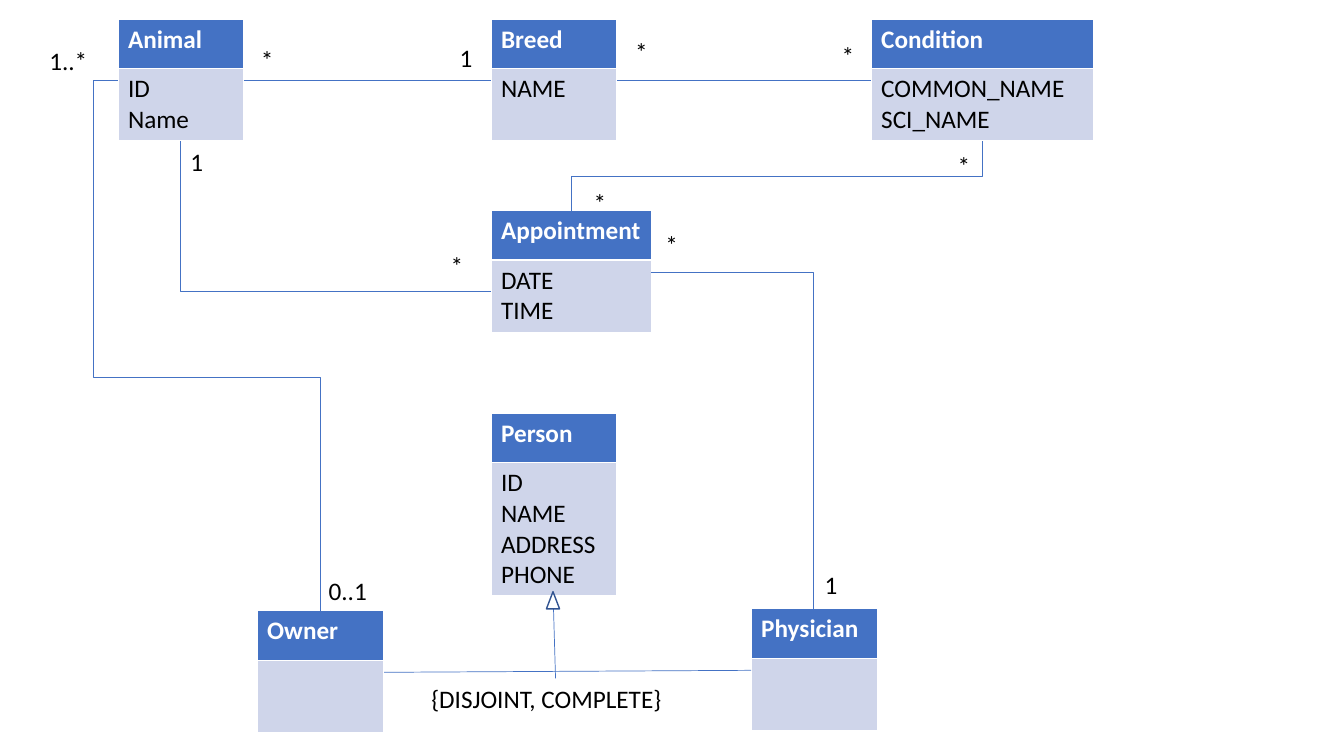
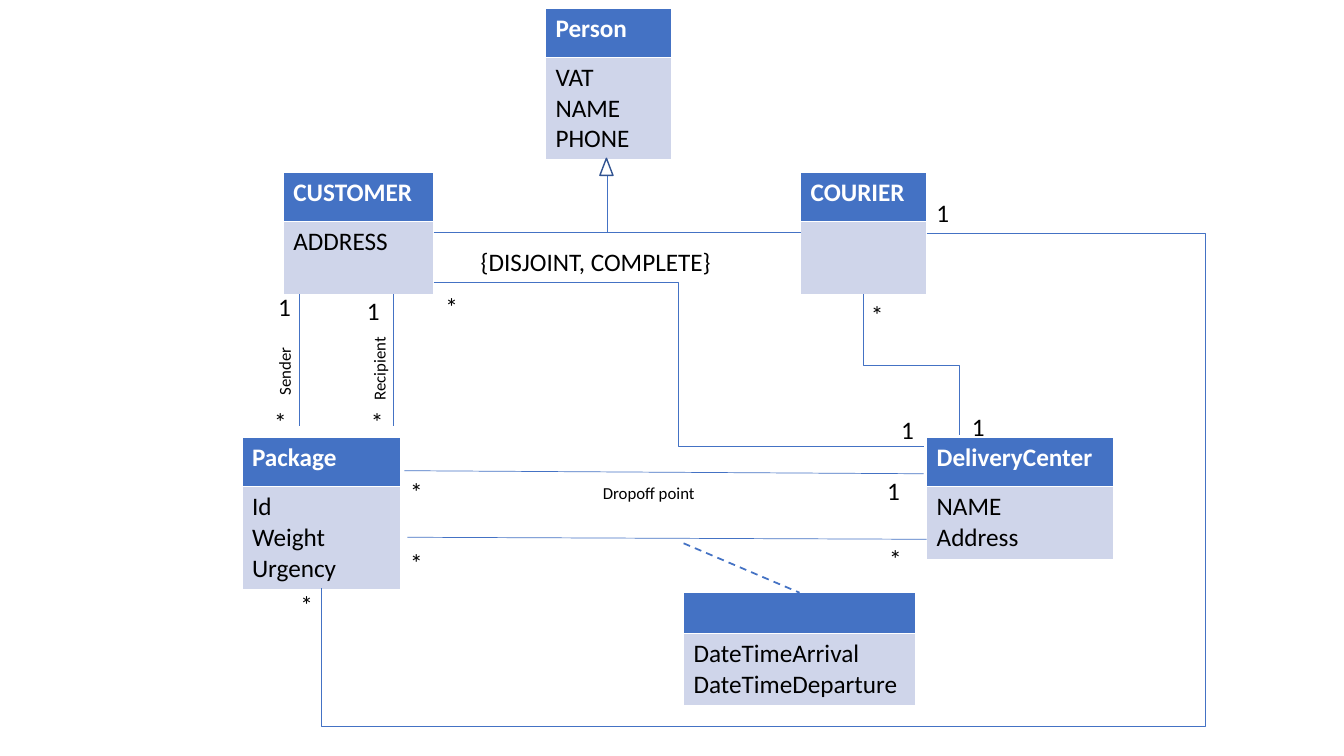
"""Build two UML class diagrams from tables, connectors and labels."""
from lxml import etree
from pptx import Presentation
from pptx import util as u
from pptx.dml.color import RGBColor
from pptx.enum import dml, shapes, text
from pptx.oxml.ns import qn

PX = 9144
HEADER_BLUE = RGBColor(0x44, 0x72, 0xC4)
BODY_BLUE = RGBColor(0xCF, 0xD5, 0xEA)
OUTLINE_BLUE = RGBColor(0x32, 0x54, 0x91)
WHITE = RGBColor(0xFF, 0xFF, 0xFF)
BLACK = RGBColor(0, 0, 0)
FONT = "Calibri"
HEADER_HEIGHT = 49
TOP, LEFT, BOTTOM, RIGHT = range(4)

DIAGRAMS = [
    {
        "classes": [
            ("Animal", "ID\nName", 117, 19, 125, 121),
            ("Breed", "NAME", 487, 19, 125, 121),
            ("Condition", "COMMON_NAME\nSCI_NAME", 864, 19, 221, 121),
            ("Appointment", "DATE\nTIME", 487, 209, 159, 121),
            ("Person", "ID\nNAME\nADDRESS\nPHONE", 487, 410, 125, 179),
            ("Owner", "", 255, 606, 125, 121),
            ("Physician", "", 745, 604, 125, 121),
        ],
        "lines": [
            (242, 80, 487, 80),
            (612, 80, 864, 80),
            (381, 667, 745, 665),
            (549, 604, 551, 673),
        ],
        "dashes": [],
        "elbows": [
            ("bentConnector3", (567, 209), (974, 140), 90, "HV", [0.5],
             ("Appointment", TOP), ("Condition", BOTTOM)),
            ("bentConnector2", (487, 289), (179, 140), 180, "", [],
             None, ("Animal", BOTTOM)),
            ("bentConnector4", (318, 606), (117, 80), 270, "V", [0.44, 1.12],
             ("Owner", TOP), ("Animal", LEFT)),
            ("bentConnector2", (807, 604), (646, 270), 270, "V", [],
             ("Physician", TOP), ("Appointment", RIGHT)),
        ],
        "triangle": (542, 587),
        "labels": [
            ("*", 249, 39, 33), ("1", 446, 37, 33), ("*", 620, 31, 33),
            ("*", 825, 35, 33), ("*", 579, 181, 33), ("*", 940, 144, 33),
            ("*", 437, 243, 33), ("1", 179, 140, 33), ("*", 650, 223, 33),
            ("1", 808, 560, 33), ("0..1", 316, 566, 65), ("1..*", 39, 40, 65),
            ("{DISJOINT, COMPLETE}", 418, 673, 266),
        ],
        "roles": [],
    },
    {
        "classes": [
            ("Package", "Id\nWeight\nUrgency", 240, 434, 157, 149),
            ("DeliveryCenter", "NAME\nAddress", 919, 434, 185, 121),
            ("", "DateTimeArrival\nDateTimeDeparture", 678, 588, 230, 110),
            ("Person", "VAT\nNAME\nPHONE", 541, 8, 125, 149),
            ("CUSTOMER", "ADDRESS", 281, 171, 149, 121),
            ("COURIER", "", 794, 171, 125, 121),
        ],
        "lines": [
            (404, 533, 919, 535),
            (430, 231, 794, 231),
            (297, 292, 297, 423),
            (390, 292, 390, 423),
            (401, 467, 916, 470),
            (602, 174, 602, 231),
        ],
        "dashes": [(678, 539, 793, 588)],
        "elbows": [
            ("bentConnector3", (856, 292), (952, 432), 270, "H", [0.5],
             ("COURIER", BOTTOM), None),
            ("bentConnector4", (919, 231), (319, 583), 180, "V", [-0.46, 1.39],
             ("COURIER", RIGHT), ("Package", BOTTOM)),
            ("bentConnector3", (430, 280), (916, 443), 0, "", [0.5], None, None),
        ],
        "triangle": (595, 157),
        "labels": [
            ("*", 397, 538, 33), ("*", 872, 534, 33), ("1", 919, 191, 33),
            ("{DISJOINT, COMPLETE}", 467, 239, 310), ("*", 397, 468, 33),
            ("1", 870, 467, 33), ("*", 854, 292, 33), ("1", 954, 403, 33),
            ("1", 884, 406, 33), ("*", 432, 284, 33), ("1", 266, 284, 33),
            ("1", 354, 288, 33), ("*", 262, 398, 33), ("*", 358, 398, 33),
            ("*", 288, 580, 33),
        ],
        "roles": [
            ("Dropoff point", 588, 474, 115, 0),
            ("Recipient", 331, 347, 90, 270),
            ("Sender", 237, 342, 90, 270),
        ],
    },
]


def write_text(text_frame, content, size, color, bold=False):
    text_frame.text = content
    for paragraph in text_frame.paragraphs:
        for run in paragraph.runs:
            run.font.name = FONT
            run.font.size = u.Pt(size)
            run.font.bold = bold
            run.font.color.rgb = color


def style_line(connector, width):
    connector.line.color.rgb = HEADER_BLUE
    connector.line.width = u.Pt(width)
    etree.SubElement(connector.element.spPr, qn("a:effectLst"))


presentation = Presentation()
presentation.slide_width = 1333 * PX
presentation.slide_height = 750 * PX

for diagram in DIAGRAMS:
    slide = presentation.slides.add_slide(presentation.slide_layouts[6])

    tables = {}
    for name, attributes, left, top, width, height in diagram["classes"]:
        frame = slide.shapes.add_table(2, 1, left * PX, top * PX, width * PX, height * PX)
        tables[name] = frame
        header_height = HEADER_HEIGHT if name else 40
        frame.table.rows[0].height = header_height * PX
        frame.table.rows[1].height = (height - header_height) * PX
        for row, (content, fill, color) in enumerate(
                [(name, HEADER_BLUE, WHITE), (attributes, BODY_BLUE, BLACK)]):
            cell = frame.table.cell(row, 0)
            cell.fill.solid()
            cell.fill.fore_color.rgb = fill
            write_text(cell.text_frame, content, 18, color, bold=row == 0)

    for points in diagram["lines"]:
        connector = slide.shapes.add_connector(
            shapes.MSO_CONNECTOR.STRAIGHT, *[value * PX for value in points])
        style_line(connector, 0.5)

    for points in diagram["dashes"]:
        connector = slide.shapes.add_connector(
            shapes.MSO_CONNECTOR.STRAIGHT, *[value * PX for value in points])
        style_line(connector, 1.25)
        connector.line.dash_style = dml.MSO_LINE.DASH

    for preset, start, end, rotation, flips, adjustments, source, target in diagram["elbows"]:
        connector = slide.shapes.add_connector(
            shapes.MSO_CONNECTOR.ELBOW, *[value * PX for value in start + end])
        if source:
            connector.begin_connect(tables[source[0]], source[1])
        if target:
            connector.end_connect(tables[target[0]], target[1])
        width, height = [abs(b - a) * PX for a, b in zip(start, end)]
        if rotation in (90, 270):
            width, height = height, width
        connector.left = ((start[0] + end[0]) * PX - width) // 2
        connector.top = ((start[1] + end[1]) * PX - height) // 2
        connector.width, connector.height = width, height
        connector.rotation = rotation
        properties = connector.element.spPr
        for axis in "HV":
            properties.xfrm.set("flip" + axis, str(int(axis in flips)))
        geometry = properties.find(qn("a:prstGeom"))
        geometry.set("prst", preset)
        guides = geometry.find(qn("a:avLst"))
        for number, adjustment in enumerate(adjustments, 1):
            etree.SubElement(guides, qn("a:gd"), name=f"adj{number}",
                             fmla=f"val {round(adjustment * 100000)}")
        style_line(connector, 0.5)

    left, top = diagram["triangle"]
    triangle = slide.shapes.add_shape(
        shapes.MSO_SHAPE.ISOSCELES_TRIANGLE, left * PX, top * PX, 13 * PX, 17 * PX)
    triangle.shadow.inherit = False
    triangle.fill.background()
    triangle.line.color.rgb = OUTLINE_BLUE
    triangle.line.width = u.Pt(1)

    labels = [(*label, 40, 0, 18) for label in diagram["labels"]]
    labels += [(*role[:4], 30, role[4], 12) for role in diagram["roles"]]
    for content, left, top, width, height, rotation, size in labels:
        box = slide.shapes.add_textbox(left * PX, top * PX, width * PX, height * PX)
        box.rotation = rotation
        box.text_frame.word_wrap = True
        box.text_frame.auto_size = text.MSO_AUTO_SIZE.SHAPE_TO_FIT_TEXT
        write_text(box.text_frame, content, size, BLACK)

presentation.save("out.pptx")
